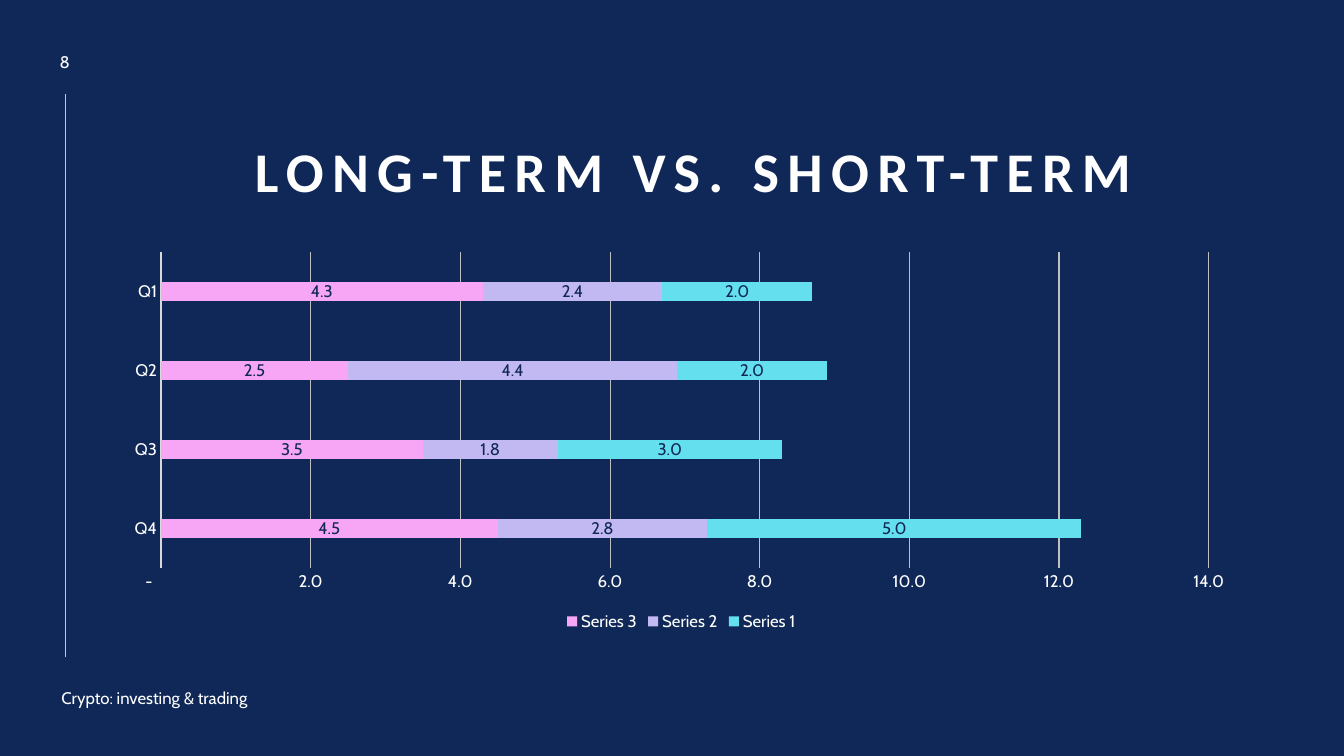
from dataclasses import dataclass

from lxml.etree import SubElement
from pptx import Presentation
from pptx.chart.data import CategoryChartData
from pptx.dml.color import RGBColor
from pptx.enum.chart import XL_CHART_TYPE, XL_LABEL_POSITION, XL_LEGEND_POSITION, XL_TICK_MARK
from pptx.enum.shapes import MSO_CONNECTOR
from pptx.enum.text import MSO_ANCHOR, PP_ALIGN
from pptx.oxml.ns import qn
from pptx.util import Cm, Pt


@dataclass(frozen=True)
class Theme:
    navy: str = "102857"
    white: str = "FFFFFF"
    pink: str = "F6A6F4"
    lilac: str = "C3B9F2"
    cyan: str = "64DFED"
    axis: str = "D9D9D9"
    grid: str = "BFBFBF"
    heading_font: str = "Calibri"
    body_font: str = "Cabin"
    title_size: int = 40
    body_size: int = 12


@dataclass(frozen=True)
class Box:
    left: float
    top: float
    width: float
    height: float

    def lengths(self) -> tuple:
        return Cm(self.left), Cm(self.top), Cm(self.width), Cm(self.height)


@dataclass(frozen=True)
class Series:
    name: str
    values: tuple
    color: str


@dataclass(frozen=True)
class Label:
    text: str
    box: Box
    align: PP_ALIGN


THEME = Theme()
NUMBER_FORMAT = r'_(* #,##0.0_);_(* \(#,##0.0\);_(* "-"??_);_(@_)'
QUARTERS = ("Q4", "Q3", "Q2", "Q1")
SERIES = (
    Series("Series 3", (4.5, 3.5, 2.5, 4.3), THEME.pink),
    Series("Series 2", (2.8, 1.8, 4.4, 2.4), THEME.lilac),
    Series("Series 1", (5, 3, 2, 2), THEME.cyan),
)
LABELS = (
    Label("8", Box(0.91, 1.14, 1.45, 0.86), PP_ALIGN.CENTER),
    Label("Crypto: investing & trading", Box(1.3, 17.2, 6.48, 0.76), PP_ALIGN.LEFT),
)


def rgb(color: str) -> RGBColor:
    return RGBColor.from_string(color)


def style_font(font, color: str = THEME.white, size: int = THEME.body_size,
               name: str = THEME.body_font, bold: bool = False) -> None:
    font.name, font.size, font.bold = name, Pt(size), bold
    font.color.rgb = rgb(color)


def write_text(tf, text: str, *, align=PP_ALIGN.LEFT, anchor=MSO_ANCHOR.MIDDLE,
               line_spacing: float = 1.0, tracking: int = 0, **font_format) -> None:
    tf.word_wrap = True
    tf.vertical_anchor = anchor
    p = tf.paragraphs[0]
    p.alignment, p.line_spacing = align, line_spacing
    r = p.add_run()
    r.text = text
    style_font(r.font, **font_format)
    if tracking:
        r.font._element.set("spc", str(tracking * 100))


def add_title(s, text: str, box: Box) -> None:
    title = s.shapes.title
    title.left, title.top, title.width, title.height = box.lengths()
    write_text(title.text_frame, text, align=PP_ALIGN.CENTER, anchor=MSO_ANCHOR.BOTTOM,
               line_spacing=0.9, tracking=6, size=THEME.title_size,
               name=THEME.heading_font, bold=True)


def add_rule(s, x: float, top: float, bottom: float) -> None:
    line = s.shapes.add_connector(MSO_CONNECTOR.STRAIGHT, Cm(x), Cm(top), Cm(x), Cm(bottom))
    line.line.color.rgb = rgb(THEME.pink)
    line.line.width = Pt(0.5)
    SubElement(line._element.spPr, qn("a:effectLst"))


def style_axes(chart) -> None:
    cat, val = chart.category_axis, chart.value_axis
    for axis in (cat, val):
        axis.major_tick_mark = axis.minor_tick_mark = XL_TICK_MARK.NONE
        style_font(axis.tick_labels.font)
    cat.format.line.color.rgb = rgb(THEME.axis)
    cat.format.line.width = Pt(1.5)
    val.format.line.fill.background()
    val.minimum_scale, val.maximum_scale, val.major_unit = 0, 14, 2
    val.tick_labels.number_format = NUMBER_FORMAT
    val.tick_labels.number_format_is_linked = False
    val.major_gridlines.format.line.color.rgb = rgb(THEME.grid)
    val.major_gridlines.format.line.width = Pt(0.75)


def add_bar_chart(s, box: Box) -> None:
    data = CategoryChartData(number_format=NUMBER_FORMAT)
    data.categories = QUARTERS
    for series in SERIES:
        data.add_series(series.name, series.values)
    chart = s.shapes.add_chart(XL_CHART_TYPE.BAR_STACKED, *box.lengths(), data).chart
    style_font(chart.font, size=10)
    chart.has_title = False
    chart.has_legend = True
    chart.legend.position = XL_LEGEND_POSITION.BOTTOM
    chart.legend.include_in_layout = False
    style_font(chart.legend.font)
    style_axes(chart)

    # Stacked bars and their values
    plot = chart.plots[0]
    plot.gap_width, plot.overlap, plot.vary_by_categories = 326, 100, False
    for series, bars in zip(SERIES, plot.series):
        bars.format.fill.solid()
        bars.format.fill.fore_color.rgb = rgb(series.color)
        labels = bars.data_labels
        labels.show_value = True
        labels.position = XL_LABEL_POSITION.CENTER
        labels.number_format, labels.number_format_is_linked = NUMBER_FORMAT, False
        style_font(labels.font, THEME.navy)


def main() -> None:
    prs = Presentation()
    prs.slide_width, prs.slide_height = Cm(33.87), Cm(19.05)
    s = prs.slides.add_slide(prs.slide_layouts.get_by_name("Title Only"))
    s.background.fill.solid()
    s.background.fill.fore_color.rgb = rgb(THEME.navy)

    # Side rule and title
    add_rule(s, 1.65, 2.36, 16.56)
    add_title(s, "LONG-TERM VS. SHORT-TERM", Box(2.36, 2.31, 30.23, 2.97))

    # Page number and footer
    for label in LABELS:
        tb = s.shapes.add_textbox(*label.box.lengths())
        write_text(tb.text_frame, label.text, align=label.align)

    # Quarterly chart
    add_bar_chart(s, Box(2.82, 6.15, 28.7, 9.86))
    prs.save("out.pptx")


if __name__ == "__main__":
    main()
